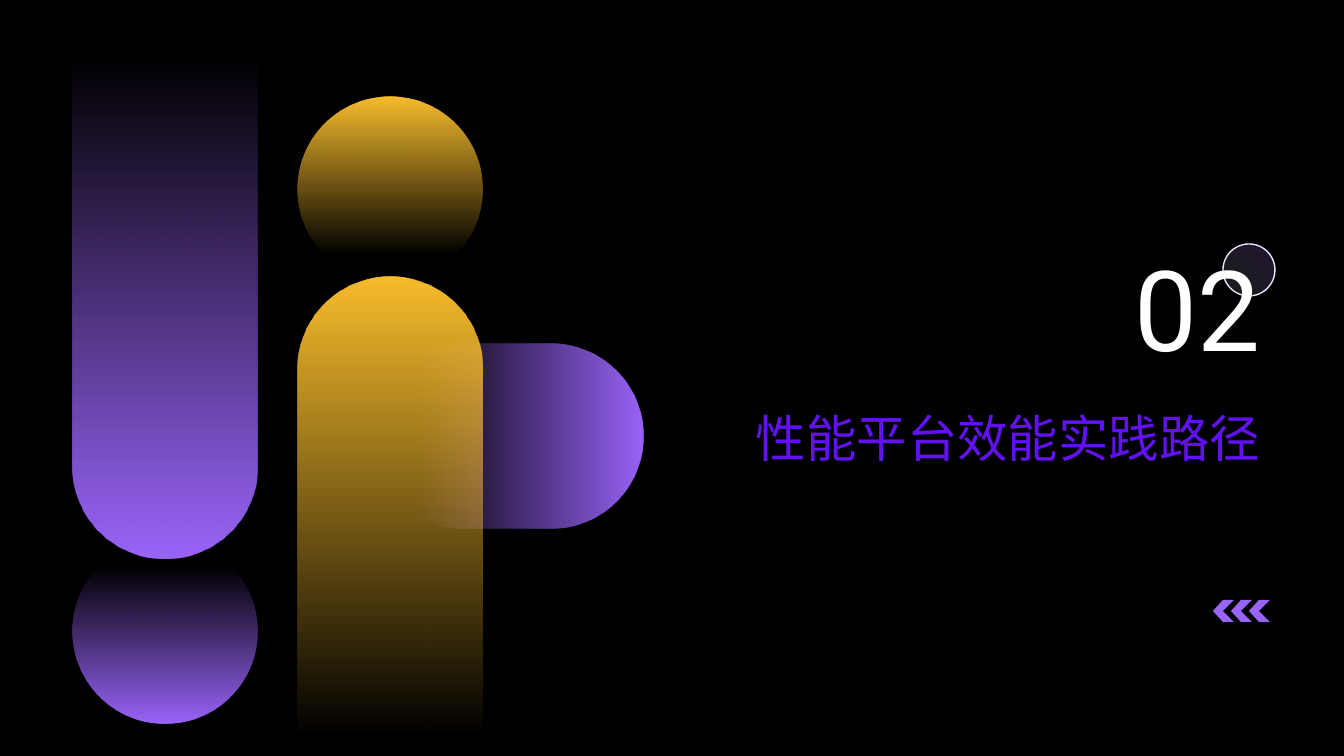
"""Build the section divider slide for part 02."""
from typing import NamedTuple

from lxml import etree
from pptx import Presentation
from pptx.dml.color import RGBColor
from pptx.enum.shapes import MSO_SHAPE as Preset
from pptx.enum.text import MSO_ANCHOR as Anchor, MSO_AUTO_SIZE as AutoSize, PP_ALIGN as Align
from pptx.oxml.ns import qn
from pptx.shapes.autoshape import Shape
from pptx.slide import Slide
from pptx.util import Emu, Pt

EMU_PER_PX = 914400 / 100.8
PURPLE, GOLD, WHITE = "9964F8", "F7BC2C", "FFFFFF"
BLACK, VIOLET, LILAC = "000000", "6211F4", "EBE0FE"
CHEVRON = [(21, 0), (10, 0), (0, 11), (10, 22), (21, 22), (10, 11)]
CHEVRON_LEFT, CHEVRON_TOP, CHEVRON_STEP, CHEVRON_COUNT = 1213, 600, 18, 3


class Box(NamedTuple):
    left: int
    top: int
    width: int
    height: int


class Stop(NamedTuple):
    position: float
    color: str
    opacity: int


class Pill(NamedTuple):
    preset: Preset
    box: Box
    color: str
    fade_end: float
    angle: int
    rotation: int = 0


PILLS = [
    Pill(Preset.ROUNDED_RECTANGLE, Box(414, 299, 184, 274), PURPLE, 0.82, 270, 90),
    Pill(Preset.OVAL, Box(73, 539, 184, 184), PURPLE, 0.85, 90),
    Pill(Preset.ROUNDED_RECTANGLE, Box(73, -50, 184, 609), PURPLE, 0.82, 90),
    Pill(Preset.OVAL, Box(298, 97, 184, 184), GOLD, 0.85, 270),
    Pill(Preset.ROUNDED_RECTANGLE, Box(298, 277, 184, 592), GOLD, 0.77, 270),
]


def px(length: int) -> Emu:
    return Emu(round(length * EMU_PER_PX))


def rgb(color: str) -> RGBColor:
    return RGBColor.from_string(color)


def add_gradient_shape(slide: Slide, preset: Preset, box: Box, stops: list[Stop], angle: int) -> Shape:
    shape = slide.shapes.add_shape(preset, *map(px, box))
    shape.shadow.inherit = False
    shape.line.fill.background()
    shape.fill.gradient()
    shape.fill.gradient_angle = angle
    for gradient_stop, stop in zip(shape.fill.gradient_stops, stops):
        gradient_stop.position = stop.position
        gradient_stop.color.rgb = rgb(stop.color)
    color_elements = shape.fill._xPr.iter(qn("a:srgbClr"))
    for element, stop in zip(color_elements, stops):
        etree.SubElement(element, qn("a:alpha")).set("val", str(stop.opacity * 1000))
    return shape


def add_pill(slide: Slide, pill: Pill) -> None:
    stops = [Stop(0, pill.color, 100), Stop(pill.fade_end, pill.color, 0)]
    shape = add_gradient_shape(slide, pill.preset, pill.box, stops, pill.angle)
    shape.rotation = pill.rotation
    if pill.preset == Preset.ROUNDED_RECTANGLE:
        shape.adjustments[0] = 0.5


def add_ring(slide: Slide) -> None:
    stops = [Stop(0, PURPLE, 20), Stop(1, WHITE, 10)]
    ring = add_gradient_shape(slide, Preset.OVAL, Box(1223, 244, 52, 52), stops, 225)
    ring.line.color.rgb = rgb(LILAC)
    ring.line.width = Pt(1)


def add_chevrons(slide: Slide) -> None:
    builder = slide.shapes.build_freeform(scale=EMU_PER_PX)
    for index in range(CHEVRON_COUNT):
        left = CHEVRON_LEFT + index * CHEVRON_STEP
        start, *rest = [(left + x, CHEVRON_TOP + y) for x, y in CHEVRON]
        builder.move_to(*start)
        builder.add_line_segments(rest, close=True)
    chevrons = builder.convert_to_shape()
    chevrons.shadow.inherit = False
    chevrons.fill.solid()
    chevrons.fill.fore_color.rgb = rgb(PURPLE)
    chevrons.line.fill.background()


def set_text(shape: Shape, box: Box, text: str, font: str, size: int, color: str,
             spacing: float, anchor: Anchor) -> None:
    shape.left, shape.top, shape.width, shape.height = map(px, box)
    frame = shape.text_frame
    frame.text = text
    frame.word_wrap = True
    frame.auto_size = AutoSize.NONE
    frame.vertical_anchor = anchor
    paragraph = frame.paragraphs[0]
    paragraph.alignment = Align.RIGHT
    paragraph.line_spacing = spacing
    paragraph.font.name = font
    paragraph.font.size = Pt(size)
    paragraph.font.color.rgb = rgb(color)


def main() -> None:
    presentation = Presentation()
    presentation.slide_width, presentation.slide_height = px(1344), px(756)
    slide = presentation.slides.add_slide(presentation.slide_layouts.get_by_name("Title Only"))
    slide.background.fill.solid()
    slide.background.fill.fore_color.rgb = rgb(BLACK)
    add_ring(slide)
    for pill in PILLS:
        add_pill(slide, pill)
    number_box = Box(1039, 87, 231, 292)
    number = slide.shapes.add_textbox(*map(px, number_box))
    set_text(number, number_box, "02", "Roboto", 80, WHITE, 1.1, Anchor.BOTTOM)
    add_chevrons(slide)
    set_text(slide.shapes.title, Box(620, 384, 650, 184), "性能平台效能实践路径",
             "Cabin", 36, VIOLET, 1.3, Anchor.TOP)
    presentation.save("out.pptx")


if __name__ == "__main__":
    main()
